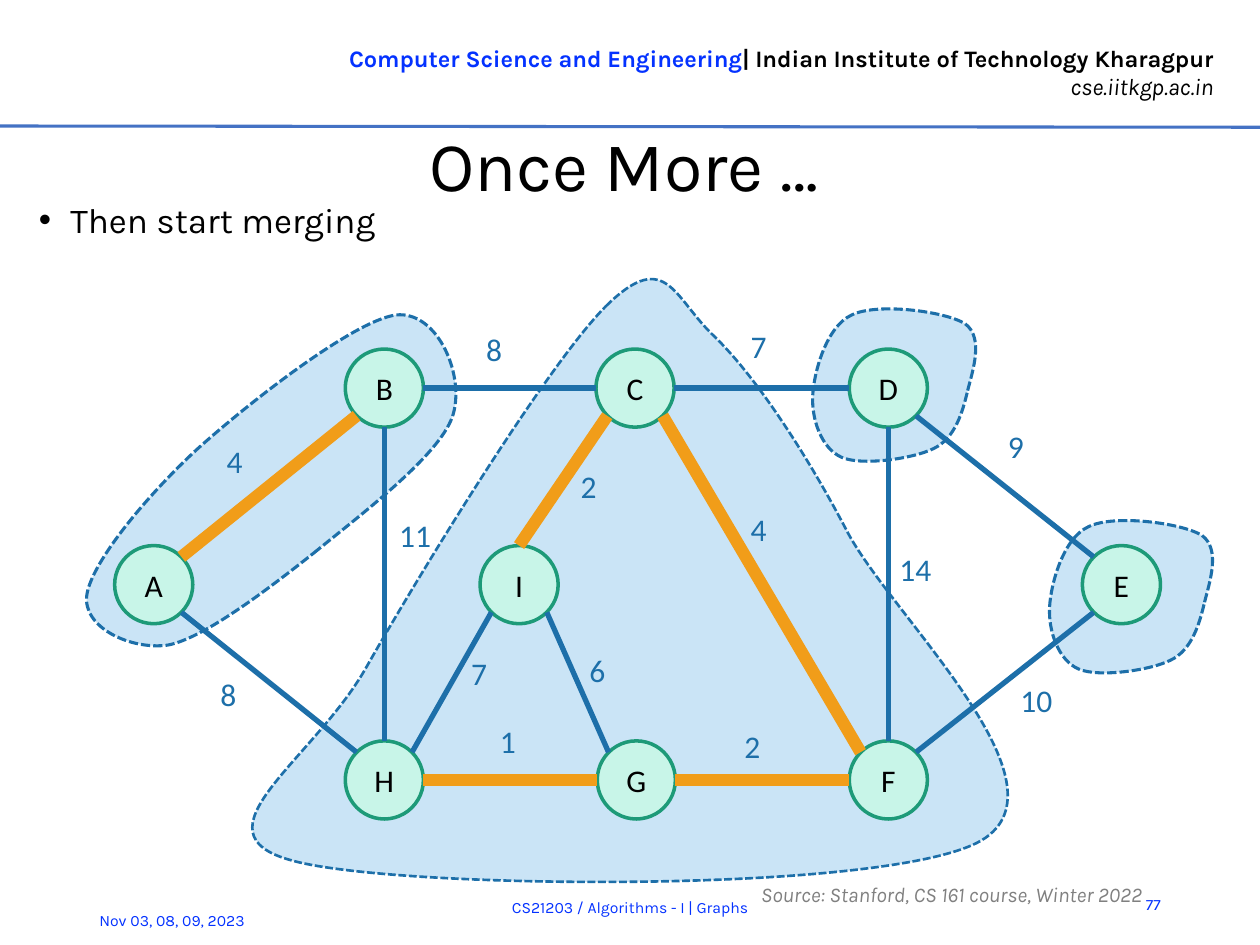
"""Build the "Once More" slide: components of a weighted graph being merged."""
from lxml.etree import SubElement
from pptx import Presentation
from pptx.dml.color import RGBColor
from pptx.enum.dml import MSO_LINE
from pptx.enum.shapes import MSO_CONNECTOR, MSO_SHAPE
from pptx.enum.text import MSO_ANCHOR, PP_ALIGN
from pptx.oxml.ns import qn
from pptx.util import Inches, Pt

BLACK = RGBColor(0x00, 0x00, 0x00)
GREY = RGBColor(0x80, 0x80, 0x80)
LINK_BLUE = RGBColor(0x04, 0x32, 0xFF)
RULE_BLUE = RGBColor(0x44, 0x72, 0xC4)
EDGE_BLUE = RGBColor(0x1D, 0x6F, 0xA9)
REGION_BLUE = RGBColor(0xCA, 0xE4, 0xF6)
TREE_ORANGE = RGBColor(0xF1, 0x9D, 0x19)
NODE_FILL = RGBColor(0xC8, 0xF5, 0xE8)
NODE_LINE = RGBColor(0x1D, 0x9A, 0x78)

RADIUS = 0.31
TOP, MIDDLE, BOTTOM = 3.08, 4.64, 6.19
NODES = {
    "D": (7.05, TOP), "C": (5.04, TOP), "B": (3.05, TOP),
    "A": (1.22, MIDDLE), "H": (3.05, BOTTOM), "G": (5.05, BOTTOM),
    "F": (7.05, BOTTOM), "I": (4.12, MIDDLE), "E": (8.9, MIDDLE),
}
SITES = {
    "n": (0, -1), "s": (0, 1), "w": (-1, 0), "e": (1, 0),
    "nw": (-0.71, -0.71), "ne": (0.71, -0.71),
    "sw": (-0.71, 0.71), "se": (0.71, 0.71),
}
EDGES = [
    ("C", "se", "F", "nw", "4", (5.86, 4.0), True),
    ("C", "e", "D", "w", "7", (5.86, 2.55), False),
    ("E", "nw", "D", "se", "9", (7.9, 3.34), False),
    ("E", "sw", "F", "ne", "10", (8.0, 5.36), False),
    ("D", "s", "F", "n", "14", (7.04, 4.32), False),
    ("I", "se", "G", "nw", "6", (4.58, 5.12), False),
    ("G", "e", "F", "w", "2", (5.81, 5.72), True),
    ("I", "n", "C", "sw", "2", (4.51, 3.66), True),
    ("B", "e", "C", "w", "8", (3.76, 2.57), False),
    ("A", "ne", "B", "sw", "4", (1.7, 3.46), True),
    ("A", "se", "H", "nw", "8", (1.65, 5.31), False),
    ("G", "w", "H", "e", "1", (3.87, 5.68), True),
    ("I", "sw", "H", "ne", "7", (3.64, 5.14), False),
    ("H", "n", "B", "s", "11", (3.07, 4.05), False),
]

LARGE_REGION = [
    (4.83, 2.41), (4.37, 2.85), (3.32, 4.57), (2.9, 5.31), (2.48, 6.04),
    (1.5, 6.61), (2.32, 6.83), (3.14, 7.06), (7.06, 7.1), (7.79, 6.67),
    (8.53, 6.23), (7.09, 4.9), (6.73, 4.23), (6.38, 3.56), (5.98, 2.97),
    (5.67, 2.67), (5.35, 2.37), (5.29, 1.97), (4.83, 2.41),
]
SINGLE_REGION = [
    (7.68, 3.1), (7.72, 2.94), (7.81, 2.68), (7.66, 2.57), (7.5, 2.47),
    (6.96, 2.4), (6.76, 2.5), (6.56, 2.59), (6.46, 2.95), (6.45, 3.14),
    (6.44, 3.33), (6.52, 3.56), (6.68, 3.63), (6.84, 3.7), (7.25, 3.64),
    (7.41, 3.56), (7.58, 3.48), (7.64, 3.27), (7.68, 3.1),
]
PAIR_REGION = [
    (2.49, 4.39), (2.87, 4.08), (3.48, 3.62), (3.59, 3.31), (3.7, 3.0),
    (3.48, 2.46), (3.14, 2.5), (2.8, 2.55), (1.97, 3.2), (1.56, 3.57),
    (1.16, 3.94), (0.73, 4.46), (0.69, 4.72), (0.65, 4.98), (1.04, 5.16),
    (1.33, 5.12), (1.61, 5.07), (2.11, 4.69), (2.49, 4.39),
]
REGIONS = [
    (LARGE_REGION, (2, 2.21, 6, 4.79), (0, 0), 1.5),
    (SINGLE_REGION, (6.45, 2.45, 1.29, 1.21), (1.88, 1.68), 1.75),
    (SINGLE_REGION, (6.45, 2.45, 1.29, 1.21), (0, 0), 1.75),
    (PAIR_REGION, (0.68, 2.5, 2.94, 2.62), (0, 0), 1.75),
]


def style(paragraph, size, color, name="Karla", align=PP_ALIGN.LEFT):
    paragraph.alignment = align
    paragraph.font.size = Pt(size)
    paragraph.font.name = name
    paragraph.font.color.rgb = color


def add_text(page, area, text, size, color, name="Karla",
             align=PP_ALIGN.LEFT, anchor=MSO_ANCHOR.MIDDLE):
    box = page.shapes.add_textbox(*map(Inches, area))
    box.text_frame.word_wrap = True
    box.text_frame.vertical_anchor = anchor
    paragraph = box.text_frame.paragraphs[0]
    paragraph.text = text
    style(paragraph, size, color, name, align)
    return box


def add_line(page, start, end, color, width):
    line = page.shapes.add_connector(
        MSO_CONNECTOR.STRAIGHT, *map(Inches, (*start, *end)))
    line.line.color.rgb = color
    line.line.width = Pt(width)
    SubElement(line._element.spPr, qn("a:effectLst"))


def paint(shape, fill, outline, width):
    shape.shadow.inherit = False
    shape.fill.solid()
    shape.fill.fore_color.rgb = fill
    shape.line.color.rgb = outline
    shape.line.width = Pt(width)


def add_region(page, controls, area, shift, width):
    left, top, wide, high = area
    x, y = Inches(left + shift[0]), Inches(top + shift[1])
    builder = page.shapes.build_freeform(x, y)
    builder.add_line_segments([(x + Inches(wide), y + Inches(high))])
    region = builder.convert_to_shape()
    outline = region._element.find(".//" + qn("a:path"))
    for child in list(outline):
        outline.remove(child)
    groups = [("a:moveTo", controls[:1])]
    groups += [("a:cubicBezTo", controls[i:i + 3]) for i in range(1, len(controls), 3)]
    for tag, points in groups:
        command = SubElement(outline, qn(tag))
        for across, down in points:
            SubElement(command, qn("a:pt"), x=str(Inches(across - left)),
                       y=str(Inches(down - top)))
    SubElement(outline, qn("a:close"))
    paint(region, REGION_BLUE, EDGE_BLUE, width)
    region.line.dash_style = MSO_LINE.SQUARE_DOT


def add_node(page, letter, center):
    corner = [value - RADIUS for value in center]
    node = page.shapes.add_shape(
        MSO_SHAPE.OVAL, *map(Inches, (*corner, 2 * RADIUS, 2 * RADIUS)))
    paint(node, NODE_FILL, NODE_LINE, 2)
    node.text_frame.vertical_anchor = MSO_ANCHOR.MIDDLE
    paragraph = node.text_frame.paragraphs[0]
    paragraph.text = letter
    style(paragraph, 18, BLACK, "Calibri", PP_ALIGN.CENTER)


def site_point(letter, site):
    return [c + RADIUS * d for c, d in zip(NODES[letter], SITES[site])]


def add_header(page):
    box = add_text(page, (2.65, 0.3, 7.08, 0.56), "", 13.5, BLACK,
                   align=PP_ALIGN.RIGHT, anchor=MSO_ANCHOR.TOP)
    box.text_frame.word_wrap = False
    names = box.text_frame.paragraphs[0]
    names.font.bold = True
    department = names.add_run()
    department.text = "Computer Science and Engineering"
    department.font.color.rgb = LINK_BLUE
    names.add_run().text = "| Indian Institute of Technology Kharagpur"
    address = box.text_frame.add_paragraph()
    address.text = "cse.iitkgp.ac.in"
    style(address, 13.5, BLACK, align=PP_ALIGN.RIGHT)
    address.font.italic = True
    add_line(page, (0, 1), (10, 1.01), RULE_BLUE, 1.75)


def add_title_and_bullet(page):
    title = add_text(page, (0.32, 0.95, 9.26, 0.68), "Once More …", 40, BLACK,
                     align=PP_ALIGN.CENTER).text_frame
    title.margin_left = title.margin_right = title.margin_bottom = 0
    title.margin_top = Inches(0.01)
    box = add_text(page, (0.21, 1.62, 9.37, 0.4), "Then start merging", 20, BLACK,
                   anchor=MSO_ANCHOR.TOP)
    paragraph = box.text_frame.paragraphs[0]
    paragraph.line_spacing = Pt(17)
    paragraph.space_after = Pt(2)
    properties = paragraph._p.get_or_add_pPr()
    properties.set("marL", str(Inches(0.25)))
    properties.set("indent", str(Inches(-0.25)))
    for tag, values in (("a:buFont", {"typeface": "Arial"}), ("a:buChar", {"char": "•"})):
        bullet = properties.makeelement(qn(tag), values)
        properties.find(qn("a:defRPr")).addprevious(bullet)


def add_footer(page):
    add_text(page, (8.82, 6.98, 0.49, 0.4), "77", 9, LINK_BLUE, align=PP_ALIGN.RIGHT)
    add_text(page, (0.69, 7.1, 1.75, 0.4), "Nov 03, 08, 09, 2023", 9, LINK_BLUE)
    add_text(page, (1.65, 7, 6.7, 0.4), "CS21203 / Algorithms - I | Graphs", 9,
             LINK_BLUE, align=PP_ALIGN.CENTER)
    source = add_text(page, (5.94, 6.93, 4.02, 0.23),
                      "Source: Stanford, CS 161 course, Winter 2022", 12, GREY)
    source.text_frame.paragraphs[0].line_spacing = Pt(21.3)
    source.text_frame.paragraphs[0].font.italic = True


def main():
    deck = Presentation()
    deck.slide_width, deck.slide_height = Inches(10), Inches(7.5)
    page = deck.slides.add_slide(deck.slide_layouts[6])
    add_header(page)
    add_title_and_bullet(page)
    add_footer(page)
    for region in REGIONS:
        add_region(page, *region)
    for letter, center in NODES.items():
        add_node(page, letter, center)
    for start, leave, end, arrive, weight, corner, in_tree in EDGES:
        color, width = (TREE_ORANGE, 7) if in_tree else (EDGE_BLUE, 3)
        add_line(page, site_point(start, leave), site_point(end, arrive), color, width)
        add_text(page, (*corner, 0.86, 0.5), weight, 18, EDGE_BLUE, "Calibri",
                 anchor=MSO_ANCHOR.TOP)
    deck.save("out.pptx")


if __name__ == "__main__":
    main()
